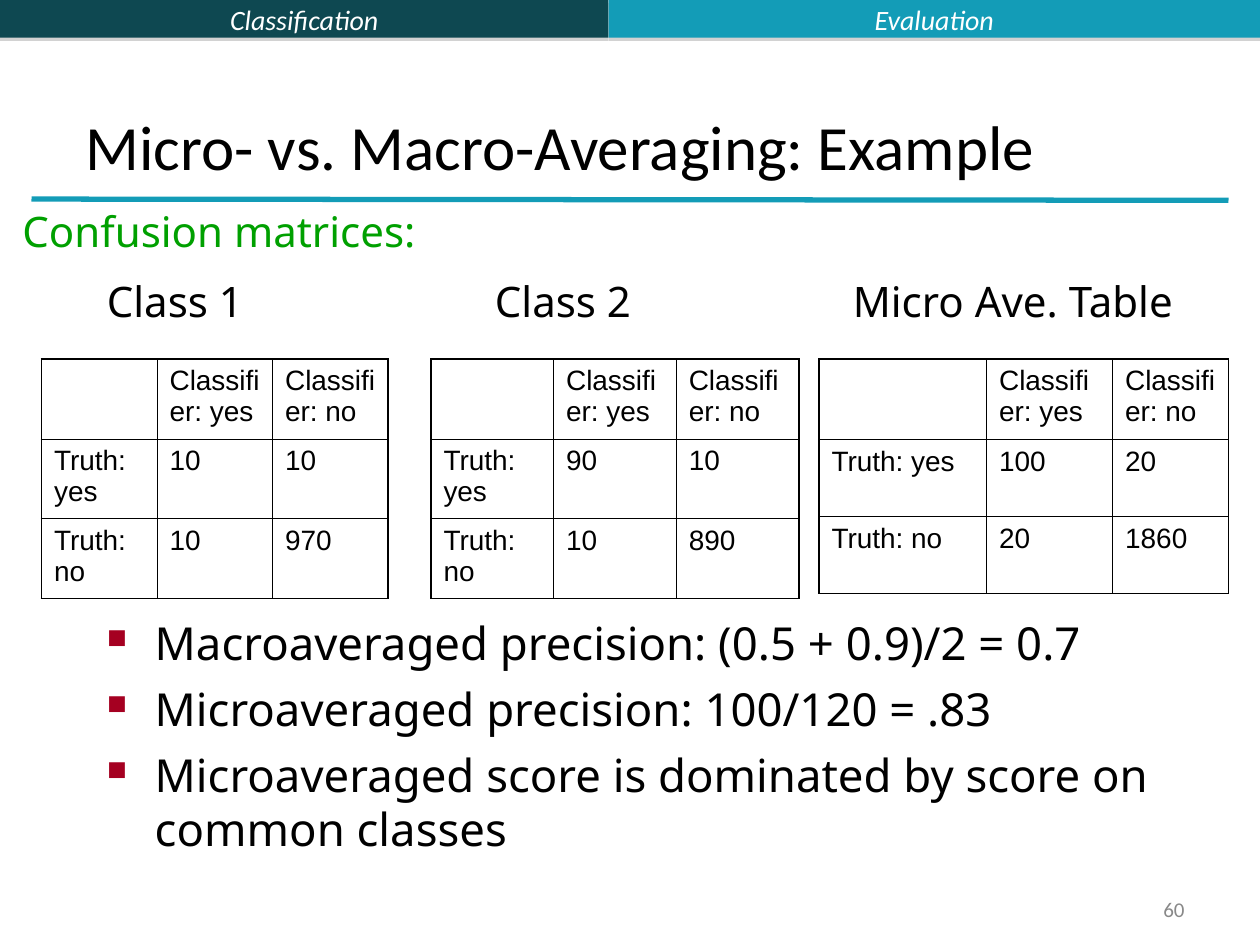
"""Build the micro- versus macro-averaging slide with its three confusion matrices."""
from dataclasses import dataclass

from pptx import Presentation, oxml
from pptx import util as u
from pptx.dml.color import RGBColor
from pptx.enum import shapes, text
from pptx.oxml import ns

NS = ns.nsdecls("a")


@dataclass(frozen=True)
class Theme:
    dark: str = "0E4851"
    teal: str = "139CB7"
    black: str = "000000"
    white: str = "FFFFFF"
    green: str = "00A000"
    red: str = "A50021"
    grey: str = "898989"
    shadow: str = "808080"
    title: int = 36
    body: int = 26
    label: int = 24
    cell: int = 16
    tab: int = 16
    number: int = 12
    sans: str = "Noto Sans"
    head: str = "Calibri"
    grid: str = "Arial"
    outer: float = 1.08
    inner: float = 0.45


class Deck:
    def __init__(self, theme):
        self.t = theme
        self.prs = Presentation()
        self.prs.slide_width, self.prs.slide_height = u.Inches(10), u.Inches(7.5)
        self.s = self.prs.slides.add_slide(self.prs.slide_layouts[6])

    def fill_text(self, tf, lines, color, font, para=None, bullet=False):
        for i, line in enumerate(lines):
            p = tf.paragraphs[0] if i == 0 else tf.add_paragraph()
            if bullet:
                self.bullet(p)
            if i:
                p.space_before = u.Pt(6.5)
            r = p.add_run()
            r.text = line
            for key, value in (para or {}).items():
                setattr(p, key, value)
            for key, value in font.items():
                setattr(r.font, key, value)
            r.font.color.rgb = RGBColor.from_string(color)

    def bullet(self, p):
        pPr = p._p.get_or_add_pPr()
        pPr.set("marL", str(u.Inches(0.38)))
        pPr.set("indent", str(-u.Inches(0.38)))
        for xml in (f'<a:buClr {NS}><a:srgbClr val="{self.t.red}"/></a:buClr>',
                    f'<a:buSzPct {NS} val="60000"/>',
                    f'<a:buChar {NS} char="■"/>'):
            pPr.append(oxml.parse_xml(xml))

    def text(self, at, lines, color, font, para=None, bullet=False,
             anchor=text.MSO_ANCHOR.TOP):
        tf = self.s.shapes.add_textbox(*map(u.Inches, at)).text_frame
        for key, value in {"word_wrap": True, "vertical_anchor": anchor}.items():
            setattr(tf, key, value)
        self.fill_text(tf, lines, color, font, para, bullet)

    def bar(self, at, color):
        sp = self.s.shapes.add_shape(shapes.MSO_SHAPE.RECTANGLE, *map(u.Inches, at))
        sp.shadow.inherit = False
        sp._element.spPr.find(ns.qn("a:effectLst")).append(oxml.parse_xml(
            f'<a:outerShdw {NS} dist="{u.Pt(1.8)}" dir="5400000">'
            f'<a:srgbClr val="{self.t.shadow}"><a:alpha val="35000"/></a:srgbClr>'
            '</a:outerShdw>'))
        sp.fill.solid()
        sp.fill.fore_color.rgb = RGBColor.from_string(color)
        sp.line.fill.background()

    def rule(self, *ends):
        ln = self.s.shapes.add_connector(shapes.MSO_CONNECTOR.STRAIGHT, *map(u.Inches, ends))
        ln.line.color.rgb = RGBColor.from_string(self.t.teal)
        ln.line.width = u.Pt(3)
        ln._element.spPr.append(oxml.parse_xml(f"<a:effectLst {NS}/>"))

    def borders(self, cell, outer):
        tcPr = cell._tc.get_or_add_tcPr()
        for i, (side, is_outer) in enumerate(zip("LRTB", outer)):
            width = u.Pt(self.t.outer if is_outer else self.t.inner)
            tcPr.insert(i, oxml.parse_xml(
                f'<a:ln{side} {NS} w="{width}"><a:solidFill>'
                f'<a:srgbClr val="{self.t.black}"/></a:solidFill></a:ln{side}>'))

    def matrix(self, left, cols, rows, counts):
        grid = [["", "Classifier: yes", "Classifier: no"],
                ["Truth: yes", *counts[0]], ["Truth: no", *counts[1]]]
        at = left, 2.85, sum(cols), sum(rows)
        tbl = self.s.shapes.add_table(3, 3, *map(u.Inches, at)).table
        tbl.first_row = tbl.horz_banding = False
        for col, width in zip(tbl.columns, cols):
            col.width = u.Inches(width)
        for row, height in zip(tbl.rows, rows):
            row.height = u.Inches(height)
        font = {"size": u.Pt(self.t.cell), "name": self.t.grid}
        for i, values in enumerate(grid):
            for j, value in enumerate(values):
                cell = tbl.cell(i, j)
                cell.fill.background()
                self.borders(cell, (j == 0, j == 2, i == 0, i == 2))
                if value:
                    self.fill_text(cell.text_frame, [str(value)], self.t.black, font)


def main():
    t = Theme()
    d = Deck(t)
    middle, align = text.MSO_ANCHOR.MIDDLE, text.PP_ALIGN
    tab = {"size": u.Pt(t.tab), "name": t.head, "italic": True}
    label = {"size": u.Pt(t.label), "name": t.sans}
    split = 4.83
    for left, width, color, name in ((0, split, t.dark, "Classification"),
                                     (split, 10 - split, t.teal, "Evaluation")):
        d.bar((left, 0, width, 0.3), color)
        d.text((left, -0.03, width, 0.37), [name], t.white, tab,
               {"alignment": align.CENTER}, anchor=middle)
    d.rule(0.25, 1.58, 9.75, 1.59)
    d.text((7.17, 7.08, 2.33, 0.27), ["60"], t.grey,
           {"size": u.Pt(t.number), "name": t.head}, {"alignment": align.RIGHT}, anchor=middle)
    d.text((0.58, 0.42, 8.83, 1.08), ["Micro- vs. Macro-Averaging: Example"], t.black,
           {"size": u.Pt(t.title), "name": t.head}, anchor=text.MSO_ANCHOR.BOTTOM)
    d.text((0.08, 1.58, 4.17, 0.5), ["Confusion matrices:"], t.green, label)

    even = [1.9 / 3] * 3
    for name, x, width, left, cols, rows, counts in (
            ("Class 1", 0.75, 2, 0.33, [2.75 / 3] * 3, even, ((10, 10), (10, 970))),
            ("Class 2", 3.83, 2, 3.42, [2.92 / 3] * 3, even, ((90, 10), (10, 890))),
            ("Micro Ave. Table", 6.67, 2.92, 6.5, [1.33, 1, 0.92], [0.64, 0.61, 0.61],
             ((100, 20), (20, 1860)))):
        d.text((x, 2.14, width, 0.5), [name], t.black, label)
        d.matrix(left, cols, rows, counts)

    d.text((0.75, 4.83, 9, 2.42),
           ["Macroaveraged precision: (0.5 + 0.9)/2 = 0.7",
            "Microaveraged precision: 100/120 = .83",
            "Microaveraged score is dominated by score on common classes"],
           t.black, {"size": u.Pt(t.body), "name": t.sans}, bullet=True)
    d.prs.save("out.pptx")


if __name__ == "__main__":
    main()
